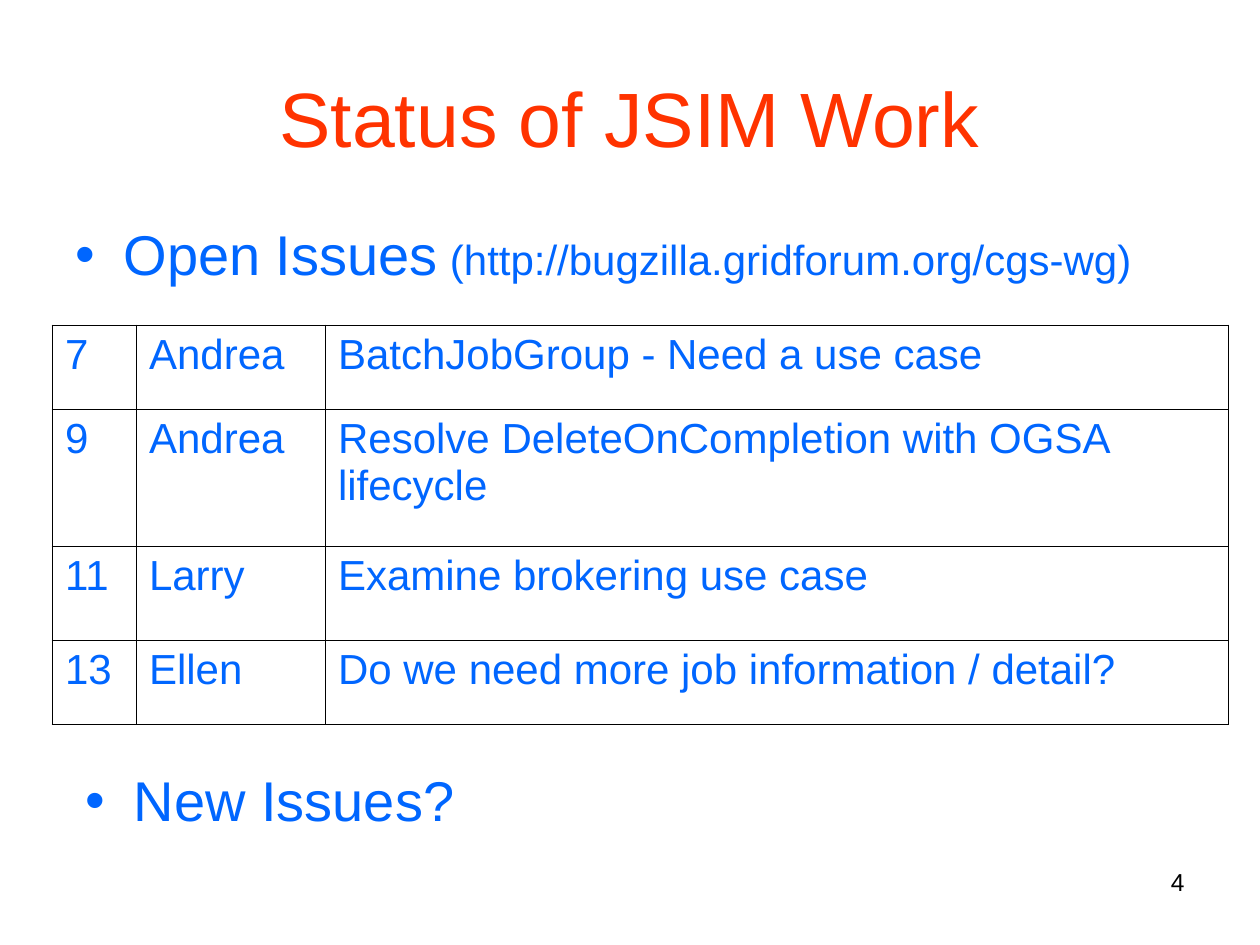
"""Build the JSIM work status slide with its table of open issues."""
from dataclasses import dataclass

from lxml.etree import SubElement
from pptx import Presentation
from pptx.dml.color import RGBColor as Color
from pptx.enum.text import MSO_ANCHOR as Anchor, MSO_AUTO_SIZE as AutoSize, PP_ALIGN as Align
from pptx.oxml.ns import qn
from pptx.util import Inches, Pt


@dataclass(frozen=True)
class Theme:
    font: str = "Arial"
    title: str = "FF3300"
    body: str = "0066FF"
    ink: str = "000000"
    title_size: int = 44
    bullet_size: int = 32
    table_size: int = 24
    number_size: int = 14
    outer_line: float = 1.08
    inner_line: float = 0.45


theme = Theme()
unit = Inches(1) / 12


def style(paragraph, size, color):
    """Set the font of a whole paragraph."""
    font = paragraph.font
    font.name, font.size = theme.font, Pt(size)
    font.color.rgb = Color.from_string(color)


def place(shape, *grid):
    """Move a shape to a grid position and fix its text frame."""
    shape.left, shape.top, shape.width, shape.height = (round(n * unit) for n in grid)
    frame = shape.text_frame
    frame.word_wrap, frame.auto_size = True, AutoSize.NONE
    return frame.paragraphs[0]


presentation = Presentation()
presentation.slide_width, presentation.slide_height = Inches(10), Inches(7.5)
slide = presentation.slides.add_slide(presentation.slide_layouts[1])
title, body = slide.placeholders

heading = place(title, 6, 3.6, 108, 15)
title.text_frame.vertical_anchor = Anchor.MIDDLE
heading.alignment = Align.CENTER
heading.add_run().text = "Status of JSIM Work"
style(heading, theme.title_size, theme.title)

open_issues = place(body, 6, 21, 108, 7)
new_issues = place(slide.shapes.add_textbox(0, 0, 0, 0), 7, 73, 108, 7)
for paragraph, text in ((open_issues, "Open Issues"), (new_issues, "New Issues?")):
    paragraph.line_spacing, paragraph.space_before = 0.9, Pt(0)
    properties = paragraph._p.get_or_add_pPr()
    properties.set("marL", str(Inches(0.38)))
    properties.set("indent", str(Inches(-0.38)))
    bullet_color = SubElement(properties, qn("a:buClr"))
    SubElement(bullet_color, qn("a:srgbClr"), val=theme.body)
    SubElement(properties, qn("a:buFont"), typeface=theme.font)
    SubElement(properties, qn("a:buChar"), char="•")
    paragraph.add_run().text = text
    style(paragraph, theme.bullet_size, theme.body)
address = open_issues.add_run()
address.text = " (http://bugzilla.gridforum.org/cgs-wg)"
address.font.size = Pt(theme.table_size)

issues = (
    ("7", "Andrea", "BatchJobGroup - Need a use case"),
    ("9", "Andrea", "Resolve DeleteOnCompletion with OGSA lifecycle"),
    ("11", "Larry", "Examine brokering use case"),
    ("13", "Ellen", "Do we need more job information / detail?"),
)
column_units, row_units = (8, 18, 86), (8, 13, 9, 8)
table_grid = (5, 31, sum(column_units), sum(row_units))
table = slide.shapes.add_table(
    len(issues), len(column_units), *(round(n * unit) for n in table_grid)
).table
table.first_row = table.horz_banding = False
for column, width in zip(table.columns, column_units):
    column.width = round(width * unit)
for row, height in zip(table.rows, row_units):
    row.height = round(height * unit)

last_row, last_column = len(issues) - 1, len(column_units) - 1
for row_index, issue in enumerate(issues):
    for column_index, text in enumerate(issue):
        cell = table.cell(row_index, column_index)
        cell.text = text
        style(cell.text_frame.paragraphs[0], theme.table_size, theme.body)
        outer_sides = {
            "L": column_index == 0,
            "R": column_index == last_column,
            "T": row_index == 0,
            "B": row_index == last_row,
        }
        for side, is_outer in outer_sides.items():
            width = theme.outer_line if is_outer else theme.inner_line
            border = SubElement(cell._tc.get_or_add_tcPr(), qn(f"a:ln{side}"), w=str(Pt(width)))
            fill = SubElement(border, qn("a:solidFill"))
            SubElement(fill, qn("a:srgbClr"), val=theme.ink)
        cell.fill.background()

number = place(slide.shapes.add_textbox(0, 0, 0, 0), 86, 82, 28, 6.25)
number.alignment = Align.RIGHT
number.add_run().text = "4"
style(number, theme.number_size, theme.ink)

presentation.save("out.pptx")
